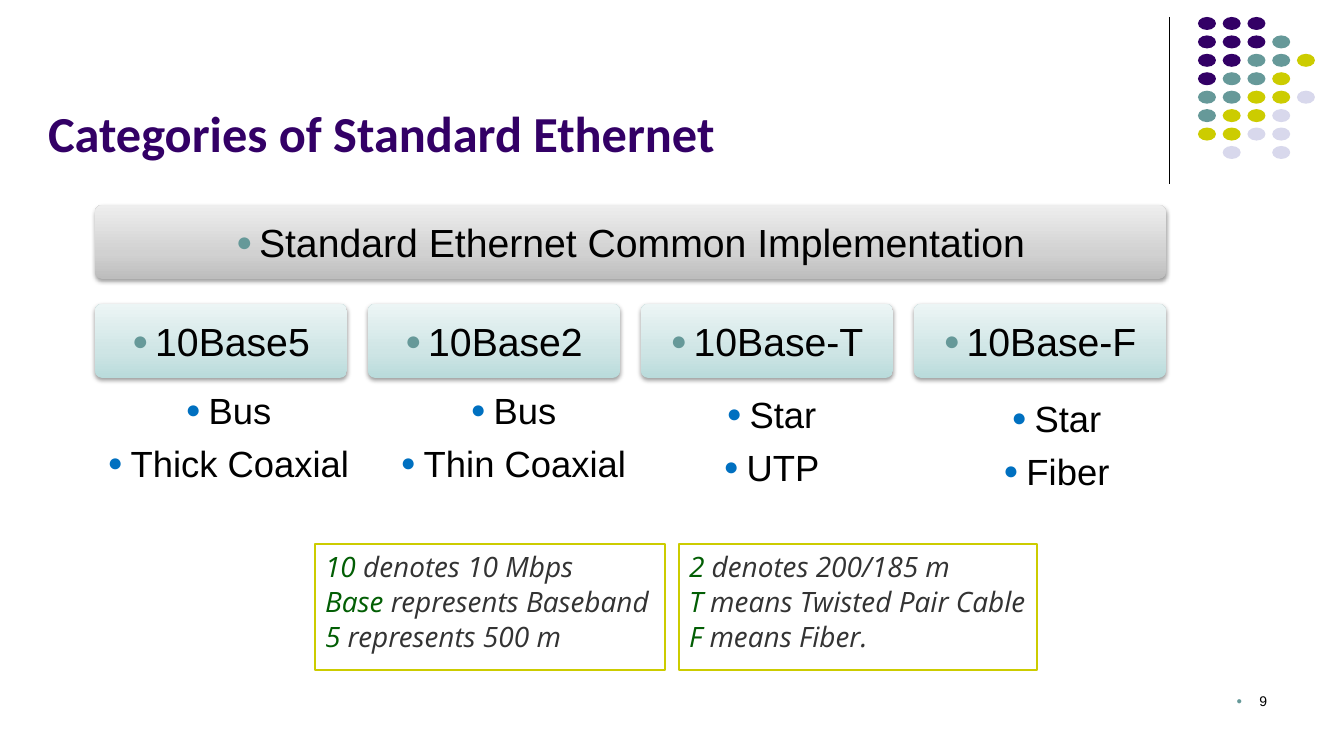
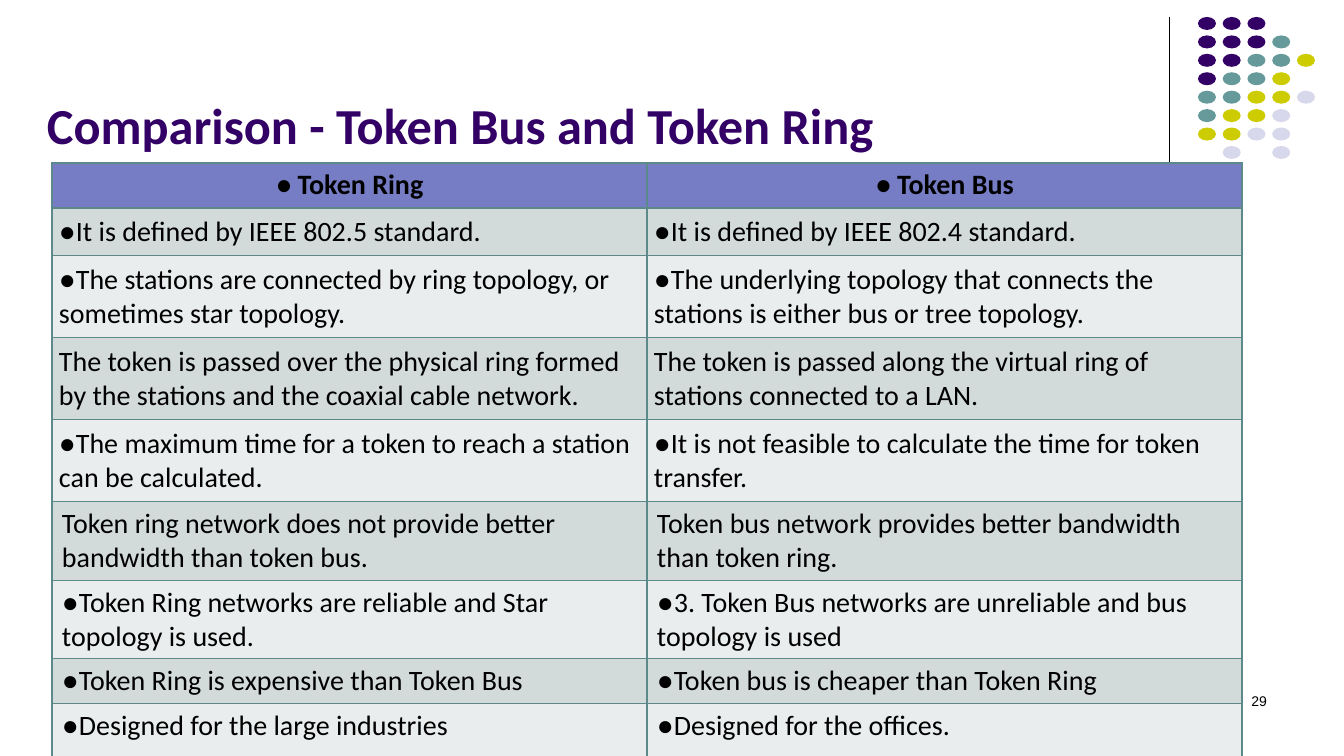
from dataclasses import dataclass

from pptx import Presentation
from pptx.dml.color import RGBColor
from pptx.enum.shapes import MSO_CONNECTOR, MSO_SHAPE
from pptx.enum.text import MSO_ANCHOR, PP_ALIGN
from pptx.oxml import parse_xml
from pptx.oxml.ns import nsdecls, qn
from pptx.util import Emu, Pt

LEFT, CENTER, RIGHT = PP_ALIGN.LEFT, PP_ALIGN.CENTER, PP_ALIGN.RIGHT
TOP, MIDDLE, BOTTOM = MSO_ANCHOR.TOP, MSO_ANCHOR.MIDDLE, MSO_ANCHOR.BOTTOM
ELLIPSE, RECTANGLE = MSO_SHAPE.OVAL, MSO_SHAPE.RECTANGLE
ROUNDED = MSO_SHAPE.ROUNDED_RECTANGLE
STRAIGHT = MSO_CONNECTOR.STRAIGHT

PX_PER_INCH = 100.8


@dataclass(frozen=True)
class Theme:
    purple: str = "330066"
    teal: str = "669999"
    lime: str = "CCCC00"
    lilac: str = "D8D8EC"
    black: str = "000000"
    white: str = "FFFFFF"
    blue: str = "0070C0"
    green: str = "025E04"
    charcoal: str = "333333"
    header: str = "767DC4"
    bands: tuple = ("D2DADA", "EAEDED")
    border: str = "5C8A8A"
    gray_gradient: tuple = ((0, "BDBDBD"), (35, "D1D1D1"), (100, "EEEEEE"))
    teal_gradient: tuple = ((0, "B9DBDB"), (35, "CEE5E5"), (100, "ECF5F5"))
    heading_font: str = "Calibri"
    body_font: str = "Arial"
    note_font: str = "Open Sans"
    title_size: int = 36
    box_size: int = 28
    list_size: int = 26
    text_size: int = 20
    number_size: int = 10


THEME = Theme()

# Content
DOT_ROWS = ("PPP", "PPPT", "PPTTY", "PTTY", "TTYYL", "TYYL", "YYLL", " L L")
DOT_COLORS = {"P": THEME.purple, "T": THEME.teal,
              "Y": THEME.lime, "L": THEME.lilac}

ETHERNET = {
    "title": "Categories of Standard Ethernet",
    "title_at": (38, 25),
    "number": "9",
    "heading": "Standard Ethernet Common Implementation",
    # name, features, left and top of the feature list
    "kinds": [
        ("10Base5", ["Bus", "Thick Coaxial"], 93, 383),
        ("10Base2", ["Bus", "Thin Coaxial"], 378, 383),
        ("10Base-T", ["Star", "UTP"], 636, 387),
        ("10Base-F", ["Star", "Fiber"], 921, 391),
    ],
    # left, width, (term, meaning) lines
    "notes": [
        (315, 350, [("10", " denotes 10 Mbps"),
                    ("Base", " represents Baseband"),
                    ("5", " represents 500 m")]),
        (679, 358, [("2", " denotes 200/185 m"),
                    ("T", " means Twisted Pair Cable"),
                    ("F", " means Fiber.")]),
    ],
}

TOKENS = {
    "title": "Comparison - Token Bus and Token Ring",
    "title_at": (37, 17),
    "number": "29",
    "header": ("Token Ring", "Token Bus"),
    # height, inset across, inset down, bulleted, cells
    "rows": [
        (47, 7, 7, True, ("It is defined by IEEE 802.5 standard.",
                          "It is defined by IEEE 802.4 standard.")),
        (82, 7, 7, True, (
            "The stations are connected by ring topology, or sometimes star topology.",
            "The underlying topology that connects the stations is either bus or tree topology.")),
        (82, 7, 7, False, (
            "The token is passed over the physical ring formed by the stations and the coaxial cable network.",
            "The token is passed along the virtual ring of stations connected to a LAN.")),
        (82, 7, 7, True, (
            "The maximum time for a token to reach a station can be calculated.",
            "It is not feasible to calculate the time for token transfer.")),
        (79, 10, 5, False, (
            "Token ring network does not provide better bandwidth than token bus.",
            "Token bus network provides better bandwidth than token ring.")),
        (78, 10, 5, True, (
            "Token Ring networks are reliable and Star topology is used.",
            "3. Token Bus networks are unreliable and bus topology is used")),
        (45, 10, 5, True, ("Token Ring is expensive than Token Bus",
                           "Token bus is cheaper than Token Ring")),
        (53, 10, 5, True, ("Designed for the large industries",
                           "Designed for the offices.")),
    ],
}


# Helpers
def px(length):
    return Emu(round(length * 914400 / PX_PER_INCH))


def rgb(color):
    return RGBColor.from_string(color)


def add_bullet(para, color, percent, hang):
    props = para._p.get_or_add_pPr()
    props.set("marL", str(px(hang)))
    props.set("indent", str(-px(hang)))
    for xml in (f'<a:buClr {nsdecls("a")}><a:srgbClr val="{color}"/></a:buClr>',
                f'<a:buSzPct {nsdecls("a")} val="{percent * 1000}"/>',
                f'<a:buFont {nsdecls("a")} typeface="{THEME.body_font}"/>',
                f'<a:buChar {nsdecls("a")} char="●"/>'):
        props.append(parse_xml(xml))


def write(frame, paras, size, font=THEME.body_font, color=THEME.black,
          bold=False, italic=False, align=LEFT, gap=0, bullet=None):
    """Each paragraph is a string or a list of (text, color) spans."""
    for index, content in enumerate(paras):
        para = frame.add_paragraph() if index else frame.paragraphs[0]
        if bullet:
            add_bullet(para, *bullet)
        para.alignment = align
        if index and gap:
            para.space_before = Pt(gap)
        spans = [(content, color)] if isinstance(content, str) else content
        for text, span_color in spans:
            span = para.add_run()
            span.text = text
            span.font.size = Pt(size)
            span.font.name = font
            span.font.bold = bold
            span.font.italic = italic
            span.font.color.rgb = rgb(span_color)


def set_frame(frame, anchor=TOP, across=10, down=5, right=None):
    frame.word_wrap = True
    frame.vertical_anchor = anchor
    frame.margin_left = px(across)
    frame.margin_right = px(across if right is None else right)
    frame.margin_top = frame.margin_bottom = px(down)
    return frame


def add_text(page, left, top, width, height, paras, size, anchor=TOP, **style):
    box = page.shapes.add_textbox(px(left), px(top), px(width), px(height))
    write(set_frame(box.text_frame, anchor), paras, size, **style)


def add_shape(page, kind, left, top, width, height, fill=None):
    shape = page.shapes.add_shape(kind, px(left), px(top), px(width), px(height))
    shape.shadow.inherit = False
    shape.line.fill.background()
    if fill:
        shape.fill.solid()
        shape.fill.fore_color.rgb = rgb(fill)
    return shape


def add_gradient_box(page, left, top, width, height, text, stops):
    box = add_shape(page, ROUNDED, left, top, width, height)
    box.adjustments[0] = 0.1
    stop_xml = "".join(f'<a:gs pos="{position * 1000}"><a:srgbClr val="{color}"/></a:gs>'
                       for position, color in stops)
    props = box._element.spPr
    props.find(qn("a:prstGeom")).addnext(parse_xml(
        f'<a:gradFill {nsdecls("a")} rotWithShape="1"><a:gsLst>{stop_xml}</a:gsLst>'
        '<a:lin ang="16200000" scaled="0"/></a:gradFill>'))
    props.find(qn("a:effectLst")).append(parse_xml(
        f'<a:outerShdw {nsdecls("a")} blurRad="40000" dist="20000" dir="5400000" '
        f'rotWithShape="0"><a:srgbClr val="{THEME.black}"><a:alpha val="38000"/>'
        '</a:srgbClr></a:outerShdw>'))
    write(set_frame(box.text_frame, MIDDLE, 12, 12), [text], THEME.box_size,
          align=CENTER, bullet=(THEME.teal, 70, 23))


def add_page(deck, content, number_bullet=None):
    page = deck.slides.add_slide(deck.slide_layouts[6])
    # Vertical rule
    rule = page.shapes.add_connector(STRAIGHT, px(1170), px(17), px(1170), px(184))
    rule.line.color.rgb = rgb(THEME.black)
    rule.line.width = Pt(0.75)
    rule._element.spPr.append(parse_xml(f'<a:effectLst {nsdecls("a")}/>'))
    # Dot pattern
    column_step, row_step = 99 / 4, 129 / 7
    for row, codes in enumerate(DOT_ROWS):
        for column, code in enumerate(codes):
            if code in DOT_COLORS:
                add_shape(page, ELLIPSE, 1198 + column * column_step,
                          17 + row * row_step, 18, 13, DOT_COLORS[code])
    # Title and page number
    add_text(page, *content["title_at"], 1131, 143, [content["title"]],
             THEME.title_size, anchor=BOTTOM, font=THEME.heading_font,
             color=THEME.purple, bold=True)
    add_text(page, 964, 688, 313, 50, [content["number"]], THEME.number_size,
             align=RIGHT, bullet=number_bullet)
    return page


def set_borders(cell):
    props = cell._tc.get_or_add_tcPr()
    for side in ("lnL", "lnR", "lnT", "lnB"):
        props.append(parse_xml(
            f'<a:{side} {nsdecls("a")} w="12700"><a:solidFill>'
            f'<a:srgbClr val="{THEME.border}"/></a:solidFill></a:{side}>'))


# Slides
def build_ethernet(deck):
    page = add_page(deck, ETHERNET, number_bullet=(THEME.teal, 70, 23))
    left, full_width, width, height = 95, 1071, 252, 74
    kinds = ETHERNET["kinds"]
    step = (full_width - width) / (len(kinds) - 1)
    add_gradient_box(page, left, 205, full_width, height,
                     ETHERNET["heading"], THEME.gray_gradient)
    for index, (name, features, list_left, list_top) in enumerate(kinds):
        add_gradient_box(page, left + index * step, 304, width, height,
                         name, THEME.teal_gradient)
        add_text(page, list_left, list_top, 271, 107, features, THEME.list_size,
                 align=CENTER, gap=6.5, bullet=(THEME.blue, 70, 23))
    # Notes on the names
    for note_left, note_width, lines in ETHERNET["notes"]:
        note = add_shape(page, RECTANGLE, note_left, 544, note_width, 126, THEME.white)
        note.line.color.rgb = rgb(THEME.lime)
        note.line.width = Pt(2)
        paras = [[(term, THEME.green), (meaning, THEME.charcoal)]
                 for term, meaning in lines]
        write(set_frame(note.text_frame, right=2), paras, THEME.text_size,
              font=THEME.note_font, italic=True, gap=1.2)


def build_tokens(deck):
    page = add_page(deck, TOKENS)
    rows = [(45, 10, 5, True, TOKENS["header"])] + TOKENS["rows"]
    total_height = sum(row[0] for row in rows)
    table = page.shapes.add_table(len(rows), 2, px(52), px(163),
                                  px(1190), px(total_height)).table
    table.first_row = table.horz_banding = False
    for column in table.columns:
        column.width = px(595)
    for index, (height, across, down, bulleted, texts) in enumerate(rows):
        table.rows[index].height = px(height)
        is_header = index == 0
        fill = THEME.header if is_header else THEME.bands[(index - 1) % 2]
        bullet = (THEME.black, 100, 22 if is_header else 0) if bulleted else None
        for column, text in enumerate(texts):
            cell = table.cell(index, column)
            set_borders(cell)
            cell.fill.solid()
            cell.fill.fore_color.rgb = rgb(fill)
            cell.margin_left = cell.margin_right = px(across)
            cell.margin_top = cell.margin_bottom = px(down)
            write(cell.text_frame, [text], THEME.text_size,
                  font=THEME.heading_font, bold=is_header,
                  align=CENTER if is_header else LEFT, bullet=bullet)


def main():
    deck = Presentation()
    deck.slide_width, deck.slide_height = px(1344), px(756)
    build_ethernet(deck)
    build_tokens(deck)
    deck.save("out.pptx")


if __name__ == "__main__":
    main()
